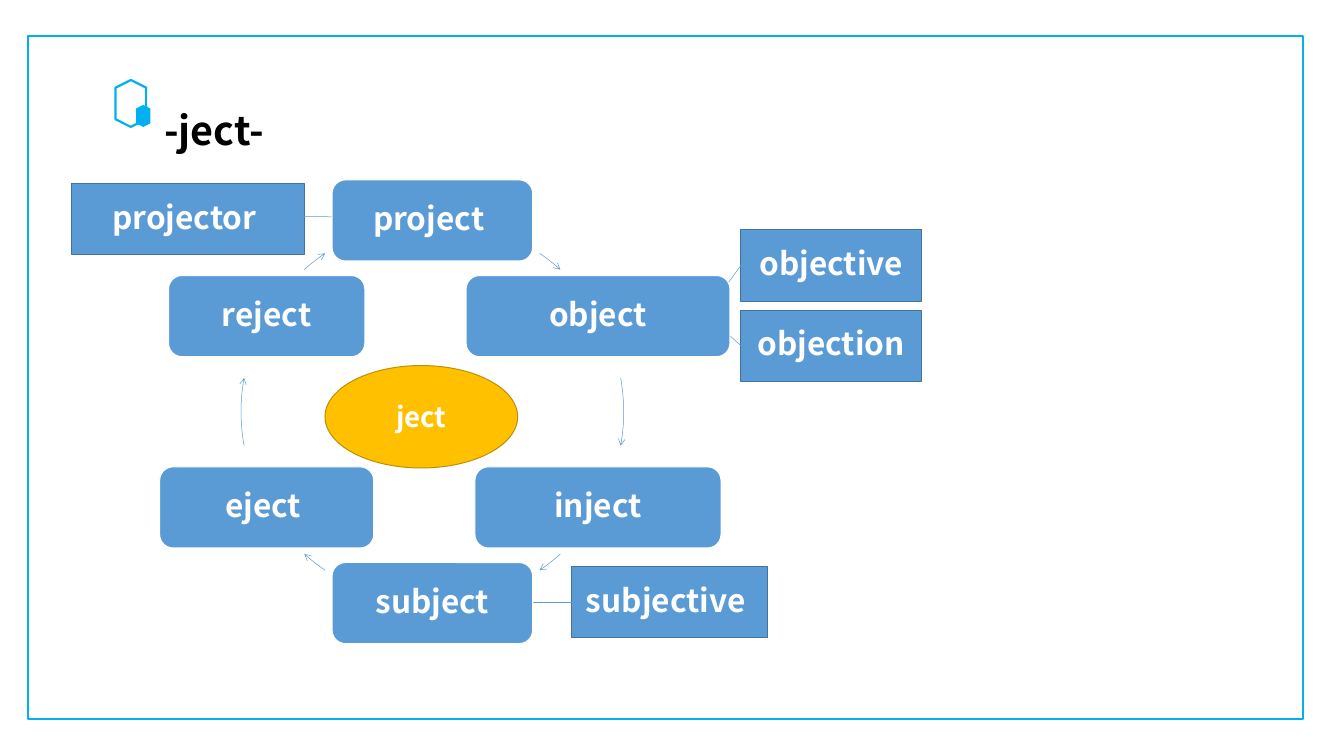
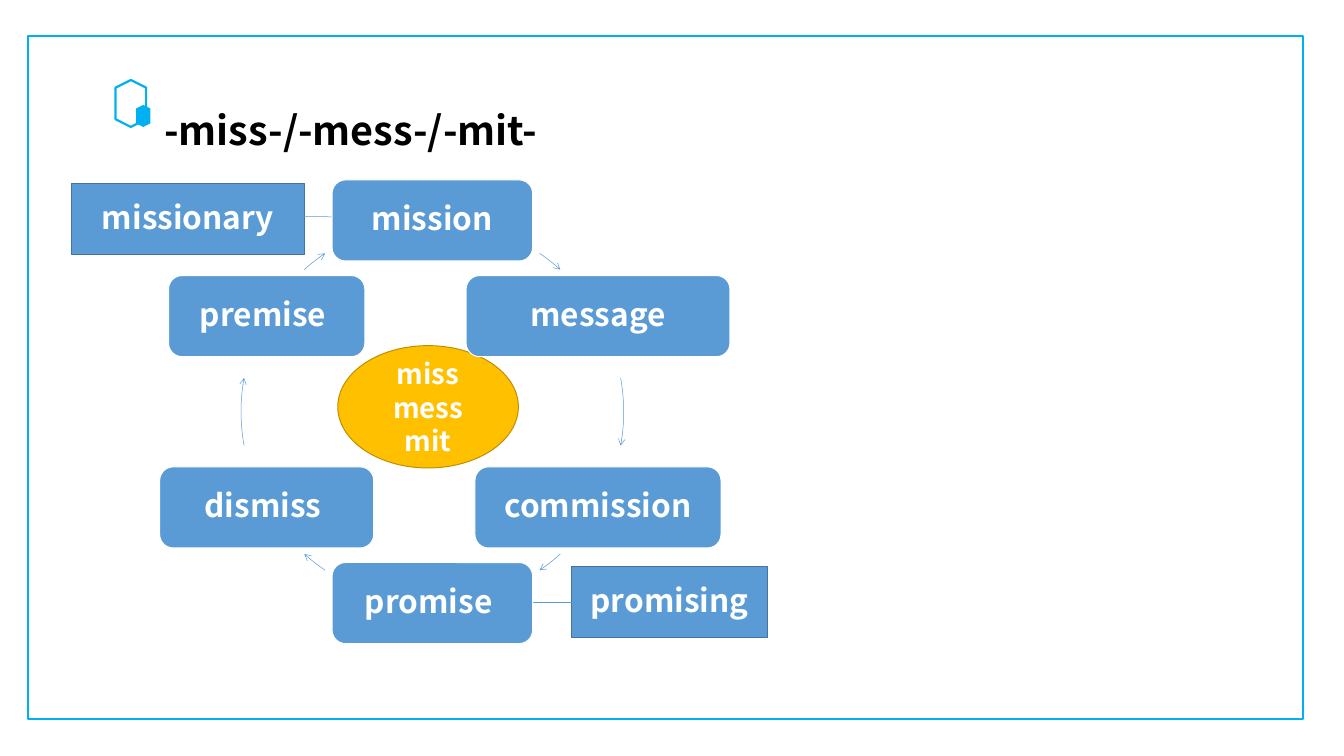
from math import cos, radians, sin

from pptx import Presentation
from pptx.dml.color import RGBColor
from pptx.enum.shapes import MSO_CONNECTOR, MSO_SHAPE as SHAPE
from pptx.enum.text import MSO_ANCHOR as ANCHOR, MSO_AUTO_SIZE, PP_ALIGN as ALIGN
from pptx.oxml.ns import qn
from pptx.util import Pt
from lxml.etree import SubElement

PX = 9144
FONT = "Noto Sans CJK SC"
CYAN, BLUE, EDGE = "00B0F0", "5B9BD5", "43739E"
GOLD, GOLD_EDGE = "FFC000", "BD8E00"
WHITE, BLACK = "FFFFFF", "000000"

CENTER_X, CENTER_Y, RADIUS = 608, 579, 269
NODE_WIDTHS = (282, 371, 346, 282, 301, 276)
NODE_HEIGHT = 114
ARCS = ((304.1, 312), (349.8, 10.2), (48, 55.9), (124.1, 132), (169.8, 190.2), (228, 235.9))

LEFT_BOX, LEFT_LINK = (101, 258, 327, 100), (415, 304, 475, 305)
LOWER_BOX, LOWER_LINK = (804, 797, 275, 100), (744, 847, 804, 847)

SLIDES = (
    {
        "title": "-ject-",
        "hub": (["ject"], (457, 514, 271, 144)),
        "satellites": (
            ("objective", (1042, 322, 254, 102), (995, 438, 1042, 373)),
            ("objection", (1042, 436, 254, 100), (988, 438, 1042, 486)),
            ("projector ", LEFT_BOX, LEFT_LINK),
            ("subjective ", LOWER_BOX, LOWER_LINK),
        ),
        "ring": ("project ", "object", "inject", "subject", "eject ", "reject"),
    },
    {
        "title": "-miss-/-mess-/-mit-",
        "hub": (["miss", "mess", "mit"], (475, 486, 254, 172)),
        "satellites": (
            ("missionary", LEFT_BOX, LEFT_LINK),
            ("promising", LOWER_BOX, LOWER_LINK),
        ),
        "ring": ("mission", "message", "commission", "promise ", "dismiss ", "premise "),
    },
)


def emu(*lengths):
    """Turn px lengths into EMU."""
    return [round(n * PX) for n in lengths]


def paint(color_format, color):
    """Set a colour from a hex string."""
    color_format.rgb = RGBColor.from_string(color)


def stroke(line, color, width):
    """Give a line its colour and width in points."""
    paint(line.color, color)
    line.width = Pt(width)


def add_box(slide, kind, box, fill=None, line=None, width=1):
    """Add a flat preset shape."""
    sp = slide.shapes.add_shape(kind, *emu(*box))
    sp.shadow.inherit = False
    if fill:
        sp.fill.solid()
        paint(sp.fill.fore_color, fill)
    else:
        sp.fill.background()
    if line:
        stroke(sp.line, line, width)
    else:
        sp.line.fill.background()
    return sp


def write(tf, lines, size, spacing, color=WHITE, align=ALIGN.CENTER, anchor=ANCHOR.MIDDLE):
    """Write bold paragraphs into a text frame."""
    tf.word_wrap = True
    tf.vertical_anchor = anchor
    tf.text = "\n".join(lines)
    for p in tf.paragraphs:
        p.alignment = align
        p.line_spacing = spacing
        p.font.name, p.font.size, p.font.bold = FONT, Pt(size), True
        paint(p.font.color, color)


def add_word(slide, kind, box, word, line):
    """Add a blue box holding one word."""
    sp = add_box(slide, kind, box, BLUE, line)
    write(sp.text_frame, [word], 32, 0.9)


def add_link(slide, ends):
    """Add a thin straight line between two points."""
    link = slide.shapes.add_connector(MSO_CONNECTOR.STRAIGHT, *emu(*ends))
    stroke(link.line, BLUE, 0.5)
    SubElement(link.element.spPr, qn("a:effectLst"))


def add_arc(slide, start, end):
    """Add a clockwise arc of the ring with an arrowhead."""
    box = (CENTER_X - RADIUS, CENTER_Y - RADIUS, 2 * RADIUS, 2 * RADIUS)
    arc = add_box(slide, SHAPE.ARC, box, line=BLUE, width=0.5)
    for i, degrees in enumerate((start, end)):
        arc.adjustments[i] = degrees * 0.6
    SubElement(arc.line._get_or_add_ln(), qn("a:tailEnd"), type="arrow")


def add_ring(slide, words):
    """Place six words on a circle, joined by arrows."""
    for i, (word, width, arc) in enumerate(zip(words, NODE_WIDTHS, ARCS)):
        angle = radians(60 * i)
        x = CENTER_X + RADIUS * sin(angle) - width / 2
        y = CENTER_Y - RADIUS * cos(angle) - NODE_HEIGHT / 2
        add_word(slide, SHAPE.ROUNDED_RECTANGLE, (x, y, width, NODE_HEIGHT), word, WHITE)
        add_arc(slide, *arc)


def set_title(slide, text):
    """Move and format the title placeholder."""
    title = slide.shapes.title
    title.left, title.top, title.width, title.height = emu(221, 139, 600, 77)
    write(title.text_frame, [text], 40, Pt(52), BLACK, ALIGN.LEFT, ANCHOR.TOP)
    title.text_frame.auto_size = MSO_AUTO_SIZE.NONE


def decorate_layout(layout, slide):
    """Draw the frame and hexagons and hand them to the layout."""
    for ph in list(layout.placeholders):
        if ph.placeholder_format.idx >= 10:
            ph.element.getparent().remove(ph.element)
    frame = add_box(slide, SHAPE.RECTANGLE, (39, 51, 1793, 960), line=CYAN, width=2.25)
    large = add_box(slide, SHAPE.HEXAGON, (151, 124, 66, 43), line=CYAN, width=2.25)
    small = add_box(slide, SHAPE.HEXAGON, (186, 153, 31, 20), fill=CYAN)
    large.rotation = small.rotation = 90
    for sp in (frame, large, small):
        layout.shapes.element.append(sp.element)


def fill_slide(slide, content):
    """Build the word map of one root."""
    set_title(slide, content["title"])
    lines, box = content["hub"]
    hub = add_box(slide, SHAPE.FLOWCHART_CONNECTOR, box, GOLD, GOLD_EDGE)
    write(hub.text_frame, lines, 28, Pt(34))
    for word, box, ends in content["satellites"]:
        add_word(slide, SHAPE.RECTANGLE, box, word, EDGE)
        add_link(slide, ends)
    add_ring(slide, content["ring"])


def main():
    """Build and save the presentation."""
    prs = Presentation()
    prs.slide_width, prs.slide_height = emu(1890, 1063)
    layout = prs.slide_layouts[5]
    slides = [prs.slides.add_slide(layout) for _ in SLIDES]
    decorate_layout(layout, slides[0])
    for slide, content in zip(slides, SLIDES):
        fill_slide(slide, content)
    prs.save("out.pptx")


if __name__ == "__main__":
    main()
